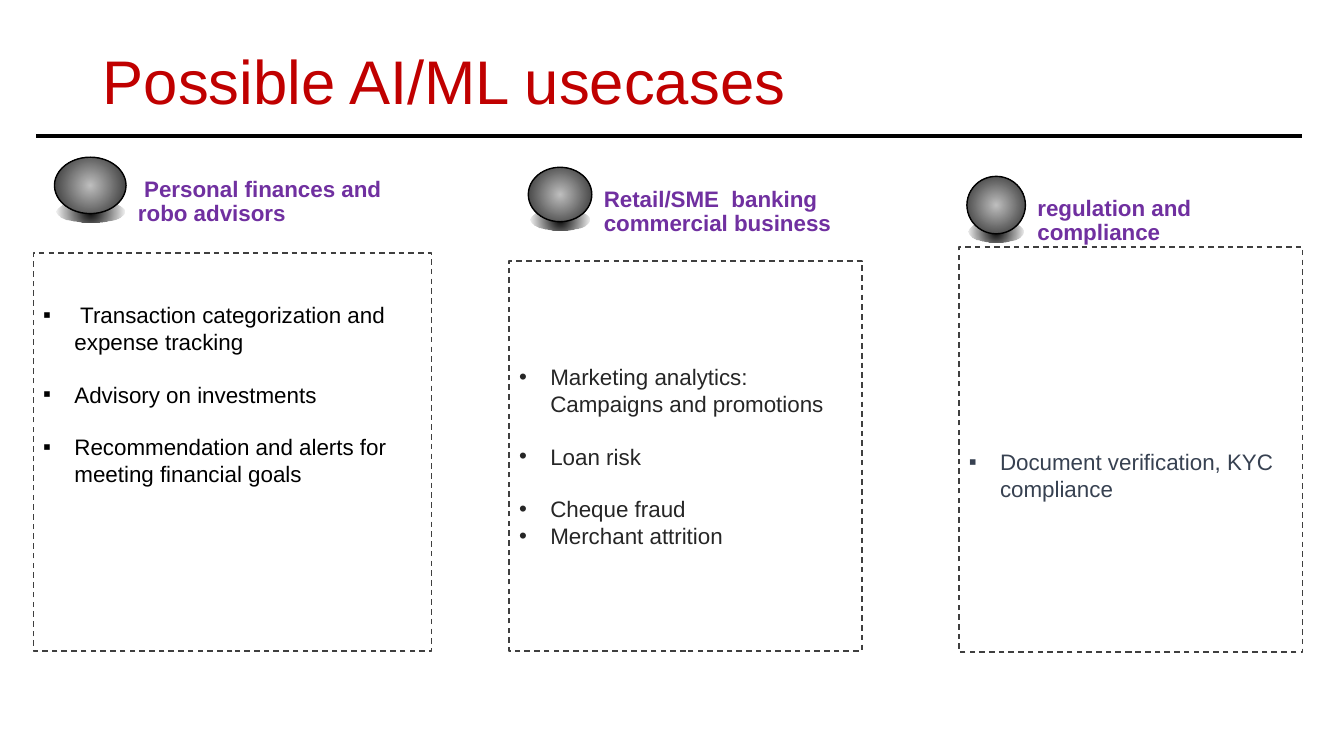
"""Build a slide with three columns of AI/ML use cases in banking."""
from lxml import etree
from pptx import Presentation
from pptx.dml.color import RGBColor
from pptx.enum.dml import MSO_LINE_DASH_STYLE as Dash
from pptx.enum.shapes import MSO_CONNECTOR as Connector, MSO_SHAPE as Shape
from pptx.enum.text import MSO_ANCHOR as Anchor, MSO_AUTO_SIZE as AutoSize, PP_ALIGN as Align
from pptx.oxml import parse_xml
from pptx.oxml.ns import nsdecls, qn
from pptx.util import Inches, Pt

COLORS = {
    "title": "C00000", "heading": "7030A0", "black": "000000", "border": "3F3F3F",
    "charcoal": "262626", "slate": "374151", "silver": "BFBFBF",
}
BLANK_LINE = 18.4
SHADOW_STOPS = [(0, "black", 100), (100, "black", 0)]
SPHERE_STOPS = [(0, "silver", 100), (100, "charcoal", 100)]


def write_text(paragraph, text, size=16, color="black", bold=False, spacing=None, bullet=None, gap=0):
    """Write one formatted paragraph, with a hanging bullet when one is given."""
    paragraph.alignment = Align.LEFT
    paragraph.space_before = Pt(gap)
    if spacing:
        paragraph.line_spacing = spacing
    if bullet:
        properties = paragraph._p.get_or_add_pPr()
        properties.set("marL", str(Inches(0.31)))
        properties.set("indent", str(Inches(-0.31)))
        etree.SubElement(properties, qn("a:buFont")).set("typeface", "Arial")
        etree.SubElement(properties, qn("a:buChar")).set("char", bullet)
    run = paragraph.add_run()
    run.text = text
    run.font.name = "Arial"
    run.font.size = Pt(size)
    run.font.bold = bold
    run.font.color.rgb = RGBColor.from_string(COLORS[color])


def add_outlined(shapes, kind, box, border=None, stops=None):
    """Add a preset shape with an optional border and radial gradient."""
    shape = shapes.add_shape(kind, *map(Inches, box))
    shape.shadow.inherit = False
    shape.fill.background()
    if stops:
        stop_xml = "".join(
            f'<a:gs pos="{position * 1000}"><a:srgbClr val="{COLORS[color]}">'
            f'<a:alpha val="{opacity * 1000}"/></a:srgbClr></a:gs>'
            for position, color, opacity in stops)
        gradient = parse_xml(
            f'<a:gradFill {nsdecls("a")} rotWithShape="1"><a:gsLst>{stop_xml}</a:gsLst>'
            '<a:path path="circle"><a:fillToRect l="50000" t="50000" r="50000" b="50000"/>'
            '</a:path></a:gradFill>')
        properties = shape._element.spPr
        properties.replace(properties.find(qn("a:noFill")), gradient)
    if border:
        shape.line.color.rgb = RGBColor.from_string(COLORS[border])
        shape.line.width = Pt(1)
    else:
        shape.line.fill.background()
    return shape


presentation = Presentation()
presentation.slide_width = Inches(13.33)
presentation.slide_height = Inches(7.5)
slide = presentation.slides.add_slide(presentation.slide_layouts[5])

title = slide.shapes.title
title.left, title.top, title.width, title.height = map(Inches, (0.92, 0.11, 11.5, 1.45))
title.text_frame.vertical_anchor = Anchor.MIDDLE
title.text_frame.auto_size = AutoSize.NONE
write_text(title.text_frame.paragraphs[0], "Possible AI/ML usecases", size=44, color="title", spacing=0.9)

rule = slide.shapes.add_connector(Connector.STRAIGHT, Inches(0.36), Inches(1.35), Inches(12.91), Inches(1.35))
rule.line.color.rgb = RGBColor.from_string(COLORS["black"])
rule.line.width = Pt(2.5)
etree.SubElement(rule._element.spPr, qn("a:effectLst"))

columns = [
    {
        "heading": " Personal finances and robo advisors", "heading_size": (3.01, 0.39),
        "sphere": (0.54, 1.56, 0.71, 0.56), "panel": (0.33, 2.51, 3.95, 3.95),
        "insets": (0.05, 1.2), "color": "black", "bullet": "▪",
        "items": [(" Transaction categorization and expense tracking", 0),
                  ("Advisory on investments", BLANK_LINE),
                  ("Recommendation and alerts for meeting financial goals", BLANK_LINE)],
    },
    {
        "heading": "Retail/SME  banking commercial business", "heading_size": (2.67, 0.38),
        "sphere": (5.24, 1.66, 0.63, 0.54), "panel": (5.05, 2.59, 3.5, 3.87),
        "insets": (0.05, 0.05), "color": "charcoal", "bullet": "•",
        "items": [("Marketing analytics: Campaigns and promotions", 0), ("Loan risk", BLANK_LINE),
                  ("Cheque fraud", BLANK_LINE), ("Merchant attrition", 0)],
    },
    {
        "heading": "regulation and compliance", "heading_size": (2.81, 0.4),
        "sphere": (9.59, 1.75, 0.58, 0.57), "panel": (9.51, 2.45, 3.41, 4.02),
        "insets": (0.56, 0.05), "color": "slate", "bullet": "▪",
        "items": [("Document verification, KYC compliance", 0)],
    },
]

for column in columns:
    shapes = slide.shapes.add_group_shape().shapes
    panel = add_outlined(shapes, Shape.RECTANGLE, column["panel"], border="border")
    panel.line.dash_style = Dash.DASH
    frame = panel.text_frame
    frame.word_wrap = True
    frame.vertical_anchor = Anchor.MIDDLE
    frame.margin_top, frame.margin_bottom = map(Inches, column["insets"])
    for index, (item, gap) in enumerate(column["items"]):
        paragraph = frame.add_paragraph() if index else frame.paragraphs[0]
        write_text(paragraph, item, color=column["color"], bullet=column["bullet"], gap=gap)

    left, top, width, height = column["sphere"]
    shadow_box = (left + 0.02, top + height - 0.13, width - 0.04, 0.22)
    add_outlined(shapes, Shape.OVAL, shadow_box, stops=SHADOW_STOPS)
    add_outlined(shapes, Shape.OVAL, column["sphere"], border="black", stops=SPHERE_STOPS)

    heading_box = (left + width + 0.02, top + 0.16, *column["heading_size"])
    heading = shapes.add_textbox(*map(Inches, heading_box))
    heading.text_frame.word_wrap = True
    write_text(heading.text_frame.paragraphs[0], column["heading"], color="heading", bold=True, spacing=0.9)

presentation.save("out.pptx")
